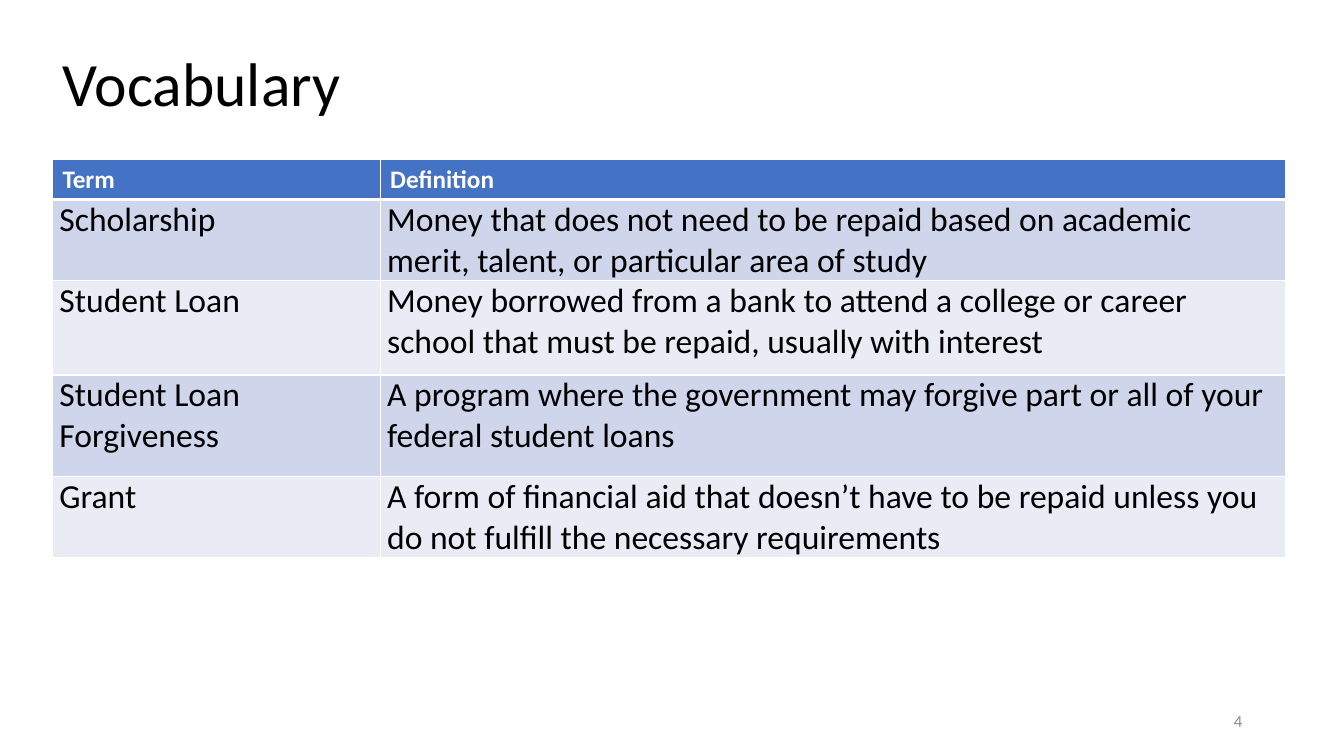
"""Build the Vocabulary slide with a table of financial aid terms."""
from dataclasses import dataclass

from lxml.etree import SubElement
from pptx import Presentation
from pptx.dml.color import RGBColor
from pptx.enum.text import MSO_ANCHOR as Anchor, PP_ALIGN as Align
from pptx.oxml.ns import qn
from pptx.util import Inches, Pt

FONT = "Calibri"
COLORS = {
    "text": "000000",
    "white": "FFFFFF",
    "number": "8C8C8C",
    "header": "4472C4",
    "odd": "CFD5EA",
    "even": "E9EBF5",
}
COLUMN_WIDTHS = (3.25, 8.98)


@dataclass(frozen=True)
class TextStyle:
    size: int
    color: str
    bold: bool = False
    align: Align = Align.LEFT
    line_spacing: float = 1.0


@dataclass(frozen=True)
class Label:
    text: str
    left: float
    top: float
    width: float
    height: float
    style: TextStyle


@dataclass(frozen=True)
class Entry:
    term: str
    definition: str
    height: float


HEADER_STYLE = TextStyle(18, "white", bold=True)
BODY_STYLE = TextStyle(24, "text")
LABELS = (
    Label("Vocabulary", 0.52, 0.13, 11.5, 1.45, TextStyle(44, "text", line_spacing=0.9)),
    Label("4", 9.42, 6.95, 3, 0.4, TextStyle(12, "number", align=Align.RIGHT)),
)
ENTRIES = (
    Entry("Term", "Definition", 0.39),
    Entry("Scholarship", "Money that does not need to be repaid based on academic merit, "
          "talent, or particular area of study", 0.77),
    Entry("Student Loan", "Money borrowed from a bank to attend a college or career school "
          "that must be repaid, usually with interest", 0.94),
    Entry("Student Loan Forgiveness", "A program where the government may forgive part or all "
          "of your federal student loans", 1.01),
    Entry("Grant", "A form of financial aid that doesn’t have to be repaid unless you do not "
          "fulfill the necessary requirements", 0.71),
)


def write(frame, text: str, style: TextStyle) -> None:
    frame.word_wrap = True
    para = frame.paragraphs[0]
    para.alignment = style.align
    para.line_spacing = style.line_spacing
    span = para.add_run()
    span.text = text
    span.font.name = FONT
    span.font.size = Pt(style.size)
    span.font.bold = style.bold
    span.font.color.rgb = RGBColor.from_string(COLORS[style.color])


def add_label(page, label: Label) -> None:
    box = page.shapes.add_textbox(
        Inches(label.left), Inches(label.top), Inches(label.width), Inches(label.height))
    box.text_frame.vertical_anchor = Anchor.MIDDLE
    write(box.text_frame, label.text, label.style)


def add_borders(cell, row: int) -> None:
    properties = cell._tc.get_or_add_tcPr()
    widths = {"L": 1, "R": 1, "T": 3 if row == 1 else 1, "B": 3 if row == 0 else 1}
    for side, width in widths.items():
        line = SubElement(properties, qn(f"a:ln{side}"), w=str(Pt(width)))
        fill = SubElement(line, qn("a:solidFill"))
        SubElement(fill, qn("a:srgbClr"), val=COLORS["white"])


def fill_cell(cell, text: str, row: int) -> None:
    add_borders(cell, row)
    shade = "header" if row == 0 else "odd" if row % 2 else "even"
    cell.fill.solid()
    cell.fill.fore_color.rgb = RGBColor.from_string(COLORS[shade])
    if row:
        cell.margin_left = cell.margin_right = Inches(0.07)
        cell.margin_top = cell.margin_bottom = Inches(0)
    write(cell.text_frame, text, BODY_STYLE if row else HEADER_STYLE)


def add_vocabulary(page, entries: tuple[Entry, ...]) -> None:
    table = page.shapes.add_table(
        len(entries), len(COLUMN_WIDTHS), Inches(0.52), Inches(1.58),
        Inches(sum(COLUMN_WIDTHS)), Inches(sum(entry.height for entry in entries))).table
    for column, width in zip(table.columns, COLUMN_WIDTHS):
        column.width = Inches(width)
    for row, entry in enumerate(entries):
        table.rows[row].height = Inches(entry.height)
        for column, text in enumerate((entry.term, entry.definition)):
            fill_cell(table.cell(row, column), text, row)


def main() -> None:
    deck = Presentation()
    deck.slide_width, deck.slide_height = Inches(13.33), Inches(7.5)
    page = deck.slides.add_slide(deck.slide_layouts[6])
    for label in LABELS:
        add_label(page, label)
    add_vocabulary(page, ENTRIES)
    deck.save("out.pptx")


if __name__ == "__main__":
    main()
